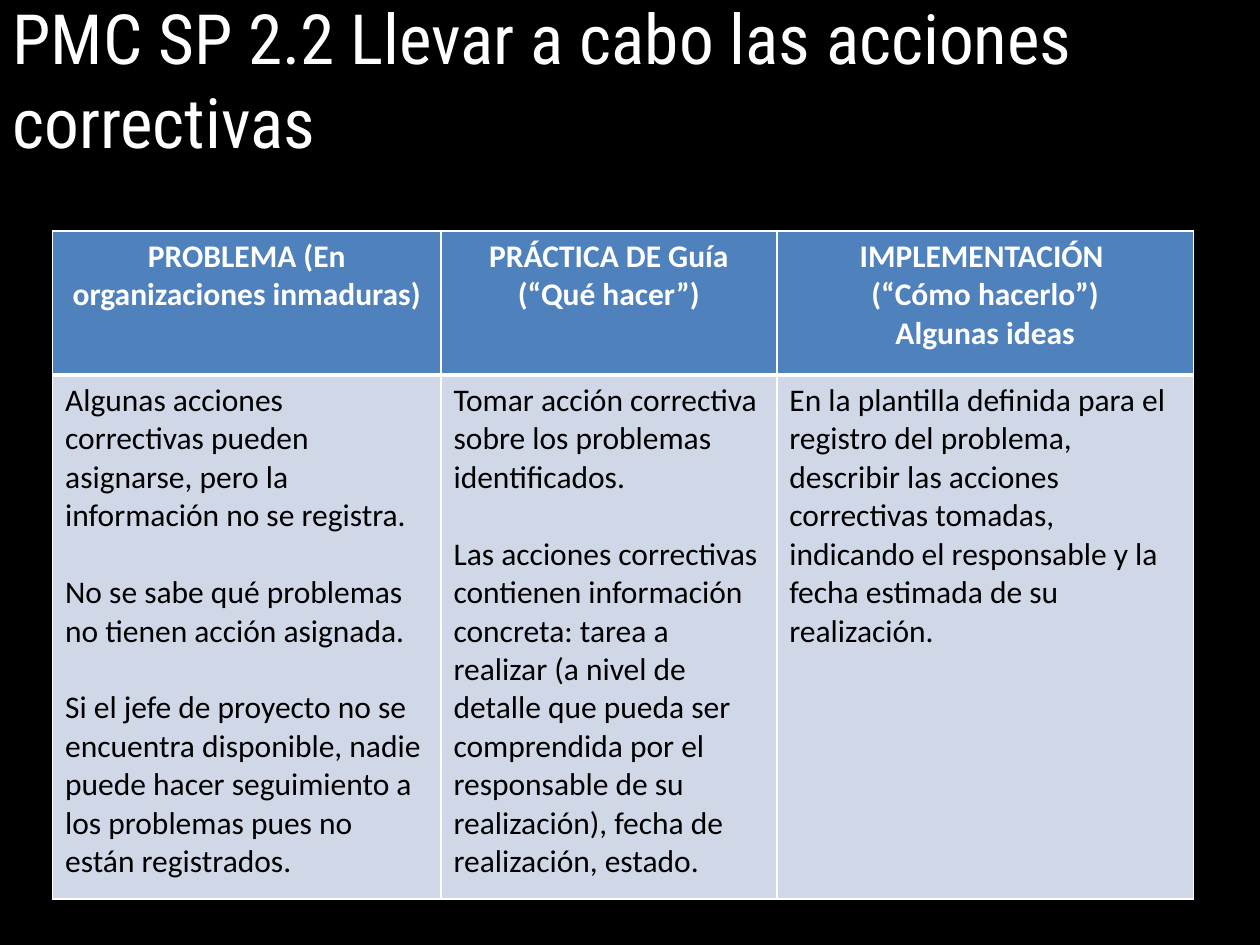
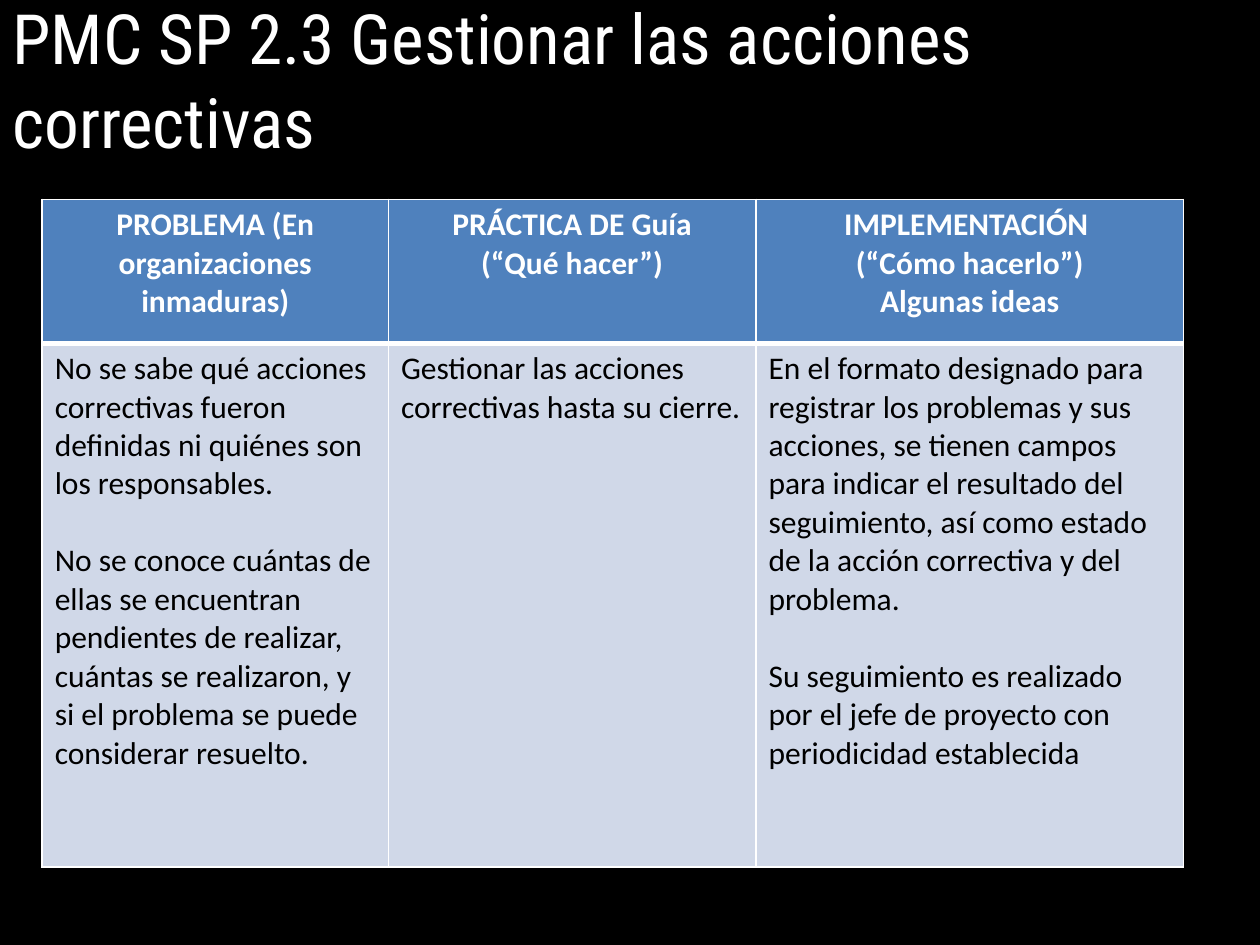
from dataclasses import dataclass

from lxml import etree
from pptx import Presentation
from pptx.dml.color import RGBColor
from pptx.enum.text import MSO_ANCHOR, PP_ALIGN
from pptx.oxml.ns import qn
from pptx.util import Cm, Pt

MIDDLE = MSO_ANCHOR.MIDDLE
LEFT, CENTER = PP_ALIGN.LEFT, PP_ALIGN.CENTER
BLANK_LAYOUT = 6


@dataclass(frozen=True)
class Theme:
    background: str = "000000"
    light: str = "FFFFFF"
    dark: str = "000000"
    header_fill: str = "4F81BD"
    body_fill: str = "D0D8E8"
    title_font: str = "Roboto Condensed"
    table_font: str = "Calibri"
    title_size: float = 39.6
    table_size: float = 18
    paragraph_gap: float = 22
    thin_line: float = 1
    thick_line: float = 3


THEME = Theme()
TITLE_BOX = (0, 0, 24.33, 3.18)
ROW_HEIGHTS = (2.9, 10.56)
HEADERS = [
    ["PROBLEMA (En organizaciones inmaduras)"],
    ["PRÁCTICA DE Guía", "(“Qué hacer”)"],
    ["IMPLEMENTACIÓN ", "(“Cómo hacerlo”)", "Algunas ideas"],
]

# Each practice: title, table corner and column widths in cm, body cells
PRACTICES = [
    {
        "title": "PMC SP 2.2 Llevar a cabo las acciones correctivas",
        "corner": (1.06, 4.66),
        "columns": (7.83, 6.77, 8.4),
        "body": [
            [
                "Algunas acciones correctivas pueden asignarse, pero la información no se registra.",
                "No se sabe qué problemas no tienen acción asignada.",
                "Si el jefe de proyecto no se encuentra disponible, nadie puede hacer "
                "seguimiento a los problemas pues no están registrados.",
            ],
            [
                "Tomar acción correctiva sobre los problemas identificados.",
                "Las acciones correctivas contienen información concreta: tarea a realizar "
                "(a nivel de detalle que pueda ser comprendida por el responsable de su "
                "realización), fecha de realización, estado.",
            ],
            [
                "En la plantilla definida para el registro del problema, describir las "
                "acciones correctivas tomadas, indicando el responsable y la fecha "
                "estimada de su realización.",
            ],
        ],
    },
    {
        "title": "PMC SP 2.3 Gestionar las acciones correctivas",
        "corner": (0.85, 4.02),
        "columns": (6.98, 7.41, 8.62),
        "body": [
            [
                "No se sabe qué acciones correctivas fueron definidas ni quiénes son los responsables.",
                "No se conoce cuántas de ellas se encuentran pendientes de realizar, cuántas "
                "se realizaron, y si el problema se puede considerar resuelto.",
            ],
            ["Gestionar las acciones correctivas hasta su cierre."],
            [
                "En el formato designado para registrar los problemas y sus acciones, se "
                "tienen campos para indicar el resultado del seguimiento, así como estado "
                "de la acción correctiva y del problema.",
                "Su seguimiento es realizado por el jefe de proyecto con periodicidad establecida",
            ],
        ],
    },
]


def style_font(font, name, size, color, bold=False):
    font.name = name
    font.size = Pt(size)
    font.bold = bold
    font.color.rgb = RGBColor.from_string(color)


def add_title(slide, text, box):
    shape = slide.shapes.add_textbox(*(Cm(length) for length in box))
    text_frame = shape.text_frame
    text_frame.word_wrap = True
    text_frame.vertical_anchor = MIDDLE
    text_frame.text = text
    style_font(text_frame.paragraphs[0].runs[0].font,
               THEME.title_font, THEME.title_size, THEME.light)


def set_borders(cell, top, bottom):
    properties = cell._tc.get_or_add_tcPr()
    widths = {"a:lnL": THEME.thin_line, "a:lnR": THEME.thin_line,
              "a:lnT": top, "a:lnB": bottom}
    for tag, width in widths.items():
        line = etree.SubElement(properties, qn(tag), w=str(Pt(width)))
        fill = etree.SubElement(line, qn("a:solidFill"))
        etree.SubElement(fill, qn("a:srgbClr"), val=THEME.light)


def fill_cell(cell, texts, is_header):
    # Borders come before the fill in the cell properties
    if is_header:
        set_borders(cell, THEME.thin_line, THEME.thick_line)
    else:
        set_borders(cell, THEME.thick_line, THEME.thin_line)
    cell.fill.solid()
    cell.fill.fore_color.rgb = RGBColor.from_string(
        THEME.header_fill if is_header else THEME.body_fill)

    cell.text_frame.text = "\n".join(texts)
    for index, paragraph in enumerate(cell.text_frame.paragraphs):
        paragraph.alignment = CENTER if is_header else LEFT
        if index and not is_header:
            paragraph.space_before = Pt(THEME.paragraph_gap)
        for run in paragraph.runs:
            style_font(run.font, THEME.table_font, THEME.table_size,
                       THEME.light if is_header else THEME.dark, is_header)


def add_practice_table(slide, corner, column_widths, body):
    box = (*corner, sum(column_widths), sum(ROW_HEIGHTS))
    table = slide.shapes.add_table(
        len(ROW_HEIGHTS), len(column_widths), *(Cm(length) for length in box)).table
    for column, width in zip(table.columns, column_widths):
        column.width = Cm(width)
    for row, height in zip(table.rows, ROW_HEIGHTS):
        row.height = Cm(height)
    for row_index, cells in enumerate((HEADERS, body)):
        for column_index, texts in enumerate(cells):
            fill_cell(table.cell(row_index, column_index), texts, row_index == 0)


def add_practice_slide(presentation, practice):
    slide = presentation.slides.add_slide(presentation.slide_layouts[BLANK_LAYOUT])
    slide.background.fill.solid()
    slide.background.fill.fore_color.rgb = RGBColor.from_string(THEME.background)
    add_title(slide, practice["title"], TITLE_BOX)
    add_practice_table(slide, practice["corner"], practice["columns"], practice["body"])


def main():
    presentation = Presentation()
    presentation.slide_width = Cm(25.4)
    presentation.slide_height = Cm(19.05)
    for practice in PRACTICES:
        add_practice_slide(presentation, practice)
    presentation.save("out.pptx")


if __name__ == "__main__":
    main()
